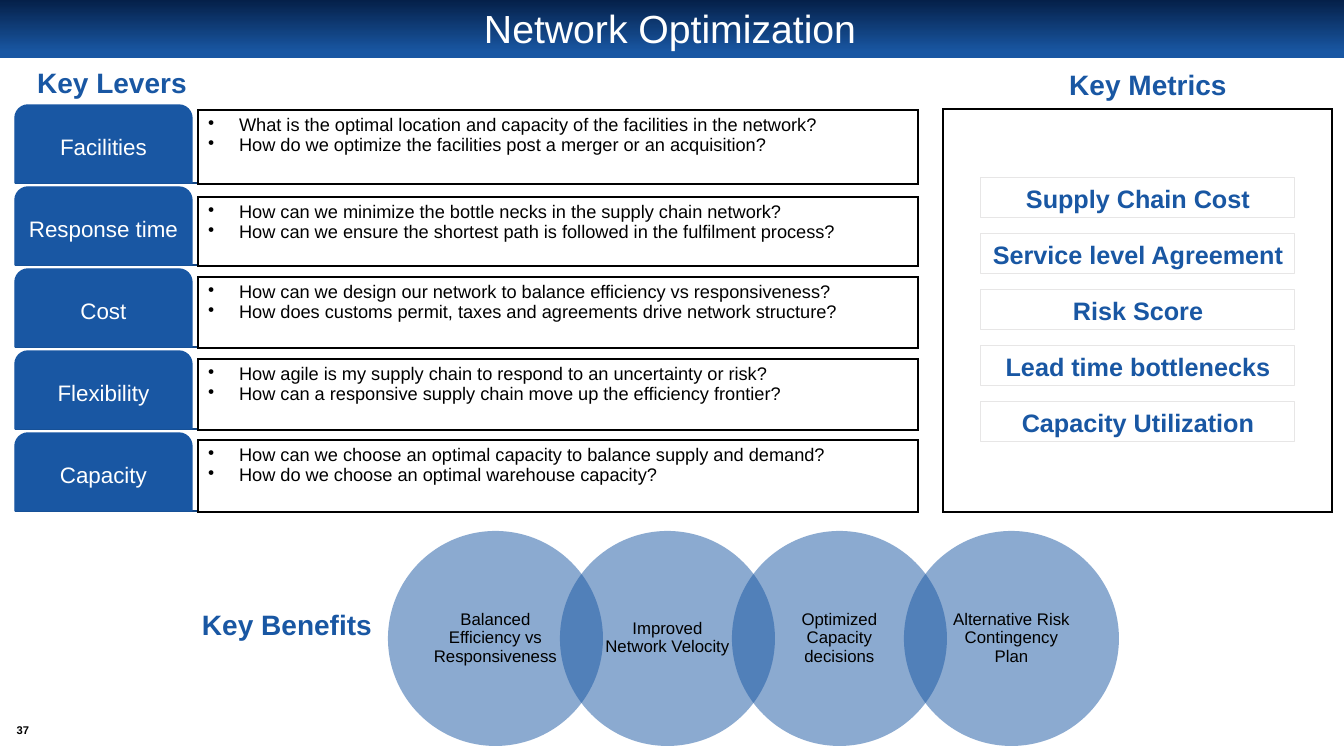
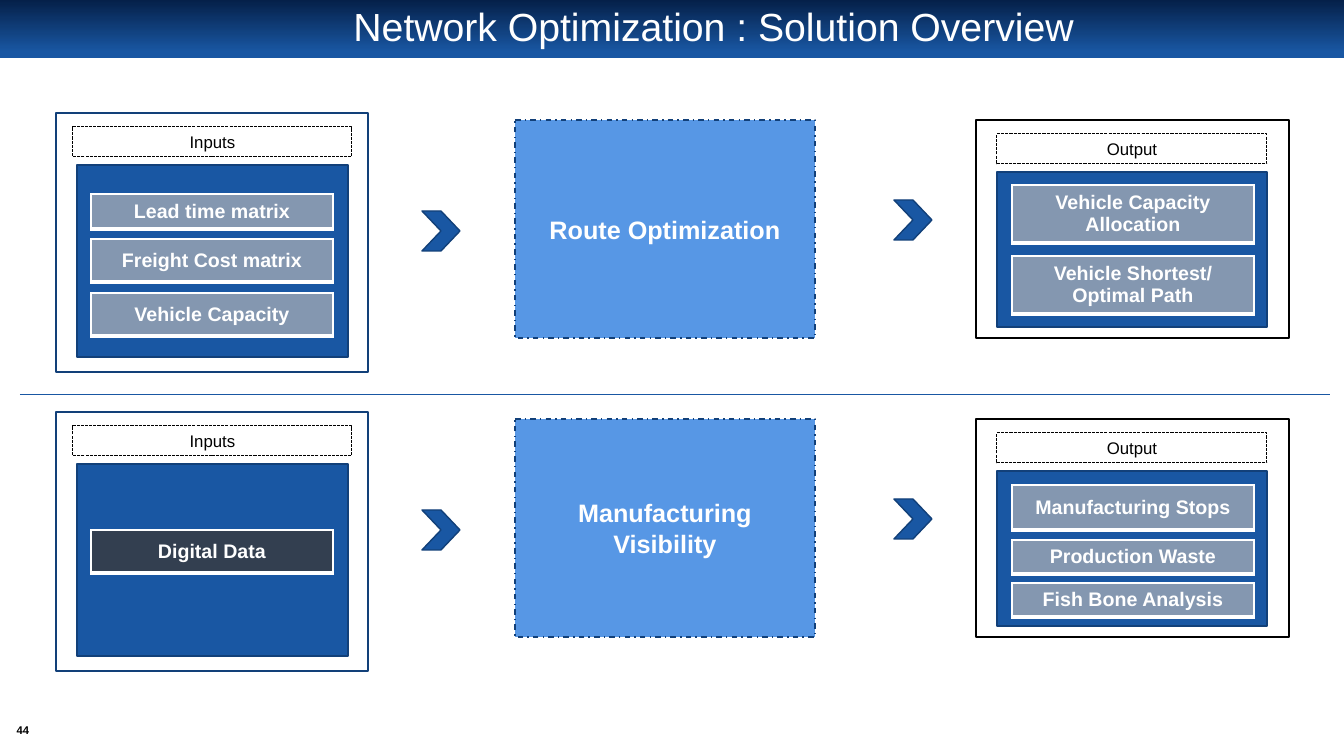
from lxml.etree import SubElement
from pptx import Presentation
from pptx.dml.color import RGBColor
from pptx.enum.dml import MSO_LINE
from pptx.enum.shapes import MSO_CONNECTOR, MSO_SHAPE as Preset
from pptx.enum.text import MSO_ANCHOR as Anchor, MSO_AUTO_SIZE, PP_ALIGN as Align
from pptx.oxml.ns import qn
from pptx.util import Emu, Pt

# Shared style
PX = 914400 / 100.8
WIDTH, HEIGHT = 1344, 756
FONT = "Arial"
COLORS = {
    "night": "052049", "blue": "1957A3", "edge": "124079", "rule": "144683",
    "sky": "5797E5", "steel": "8497B0", "slate": "333F50", "pale": "E7E6E6",
    "white": "FFFFFF", "black": "000000",
}

# Slide 1 content
LEVERS = [  # name, height of the question box, questions
    ("Facilities", 74, [
        "What is the optimal location and capacity of the facilities in the network?",
        "How do we optimize the facilities post a merger or an acquisition?"]),
    ("Response time", 69, [
        "How can we minimize the bottle necks in the supply chain network?",
        "How can we ensure the shortest path is followed in the fulfilment process?"]),
    ("Cost", 71, [
        "How can we design our network to balance efficiency vs responsiveness?",
        "How does customs permit, taxes and agreements drive network structure?"]),
    ("Flexibility", 71, [
        "How agile is my supply chain to respond to an uncertainty or risk?",
        "How can a responsive supply chain move up the efficiency frontier?"]),
    ("Capacity", 72, [
        "How can we choose an optimal capacity to balance supply and demand?",
        "How do we choose an optimal warehouse capacity?"]),
]
METRICS = ["Supply Chain Cost", "Service level Agreement", "Risk Score",
           "Lead time bottlenecks", "Capacity Utilization"]
BENEFITS = ["Balanced Efficiency vs Responsiveness", "Improved Network Velocity",
            "Optimized Capacity decisions", "Alternative Risk Contingency Plan"]
HEADINGS = [
    ("Key Levers", (27, 61, 170, 44)),
    ("Key Metrics", (1059, 63, 178, 44)),
    ("Key Benefits", (191, 603, 192, 44)),
]

# Slide 2 content: items are (text, top within the flow, height, fill)
FLOWS = [
    {"process": "Route Optimization",
     "inputs": [("Lead time matrix", 194, 35, "steel"),
                ("Freight Cost matrix", 239, 43, "steel"),
                ("Vehicle Capacity", 293, 43, "steel")],
     "outputs": [("Vehicle Capacity Allocation", 185, 58, "steel"),
                 ("Vehicle Shortest/\nOptimal Path", 256, 58, "steel")]},
    {"process": "Manufacturing Visibility",
     "inputs": [("Digital Data", 231, 43, "slate")],
     "outputs": [("Manufacturing Stops", 186, 45, "steel"),
                 ("Production Waste", 241, 33, "steel"),
                 ("Fish Bone Analysis", 284, 33, "steel")]},
]
FLOW_PITCH = 299


def px(value):
    return Emu(round(value * PX))


def rgb(name):
    return RGBColor.from_string(COLORS[name])


def write(frame, text, size, color, bold=False, align=Align.CENTER, spacing=None,
          bullets=False):
    """Fill a text frame and format every run in it."""
    frame.text = text
    for paragraph in frame.paragraphs:
        paragraph.alignment = align
        if spacing:
            paragraph.line_spacing = spacing
        if bullets:
            properties = paragraph._p.get_or_add_pPr()
            properties.set("marL", str(px(31)))
            properties.set("indent", str(-px(31)))
            SubElement(properties, qn("a:buChar")).set("char", "•")
        for run in paragraph.runs:
            font = run.font
            font.name, font.size, font.bold = FONT, Pt(size), bold
            font.color.rgb = rgb(color)


def set_insets(frame, left, top, right, bottom):
    frame.margin_left, frame.margin_top = px(left), px(top)
    frame.margin_right, frame.margin_bottom = px(right), px(bottom)


def add_shape(slide, preset, box, fill=None, line=None, weight=1, dash=None):
    shape = slide.shapes.add_shape(preset, *map(px, box))
    shape.shadow.inherit = False
    if fill:
        shape.fill.solid()
        shape.fill.fore_color.rgb = rgb(fill)
    else:
        shape.fill.background()
    if line:
        shape.line.color.rgb = rgb(line)
        shape.line.width = Pt(weight)
        if dash:
            shape.line.dash_style = dash
    else:
        shape.line.fill.background()
    shape.text_frame.word_wrap = True
    shape.text_frame.vertical_anchor = Anchor.MIDDLE
    return shape


def add_text(slide, box, text, size, color):
    frame = slide.shapes.add_textbox(*map(px, box)).text_frame
    frame.word_wrap = False
    write(frame, text, size, color, bold=True)
    return frame


def add_rule(slide, left, right, y, color, weight):
    line = slide.shapes.add_connector(
        MSO_CONNECTOR.STRAIGHT, px(left), px(y), px(right), px(y))
    line.line.color.rgb = rgb(color)
    line.line.width = Pt(weight)
    SubElement(line._element.spPr, qn("a:effectLst"))


def add_cell(slide, box, fill, border, bottom_weight=1):
    """Add a one-cell table and return its cell."""
    table = slide.shapes.add_table(1, 1, *map(px, box)).table
    table.first_row = table.horz_banding = False
    cell = table.cell(0, 0)
    properties = cell._tc.get_or_add_tcPr()
    for side, weight in zip("LRTB", (1, 1, 1, bottom_weight)):
        edge = SubElement(properties, qn(f"a:ln{side}"))
        edge.set("w", str(Pt(weight)))
        paint = SubElement(edge, qn("a:solidFill"))
        SubElement(paint, qn("a:srgbClr")).set("val", COLORS[border])
    cell.fill.solid()
    cell.fill.fore_color.rgb = rgb(fill)
    return cell


def add_slide(presentation, title, title_box, number):
    """Add a slide with the gradient band, title and page number."""
    slide = presentation.slides.add_slide(presentation.slide_layouts[5])
    band = add_shape(slide, Preset.RECTANGLE, (0, 0, WIDTH, 58))
    band.fill.gradient()
    band.fill.gradient_angle = 270
    for stop, position, color in zip(
            band.fill.gradient_stops, (0, 0.9), ("night", "blue")):
        stop.position = position
        stop.color.rgb = rgb(color)
    slide.shapes._spTree.insert(2, band._element)

    holder = slide.shapes.title
    holder.left, holder.top, holder.width, holder.height = map(px, title_box)
    frame = holder.text_frame
    frame.auto_size = MSO_AUTO_SIZE.NONE
    frame.vertical_anchor = Anchor.MIDDLE
    write(frame, title, 28, "white", spacing=0.9)

    frame = add_text(slide, (8, 720, 30, 19), number, 8, "black")
    frame.vertical_anchor = Anchor.MIDDLE
    set_insets(frame, 0, 0, 0, 0)
    return slide


def build_levers(slide):
    for text, box in HEADINGS:
        add_text(slide, box, text, 20, "blue")

    # Lever tabs with their questions
    tab_height = 78
    for index, (name, height, questions) in enumerate(LEVERS):
        top = 105 + index * 82
        bottom = top + tab_height
        add_rule(slide, 15, 699, bottom, "rule", 1)
        tab = add_shape(slide, Preset.ROUND_2_SAME_RECTANGLE,
                        (15, top, 177, tab_height), "blue", "blue")
        set_insets(tab.text_frame, 3, 7, 3, 3)
        write(tab.text_frame, name, 16, "white", spacing=0.9)
        cell = add_cell(slide, (198, bottom + 1 - height, 720, height), "white", "black")
        write(cell.text_frame, "\n".join(questions), 13, "black",
              align=Align.LEFT, bullets=True)

    # Metrics panel
    add_cell(slide, (943, 109, 389, 403), "white", "black")
    for index, metric in enumerate(METRICS):
        box = add_shape(slide, Preset.RECTANGLE, (981, 178 + index * 56, 314, 40),
                        line="pale", weight=0.75)
        write(box.text_frame, metric, 18, "blue", bold=True)

    # Overlapping benefit circles
    for index, benefit in enumerate(BENEFITS):
        circle = add_shape(slide, Preset.OVAL, (388 + index * 172, 531, 215, 215), "blue")
        color = circle._element.spPr.find(".//" + qn("a:srgbClr"))
        SubElement(color, qn("a:alpha")).set("val", "50000")
        set_insets(circle.text_frame, 12, 2, 12, 2)
        write(circle.text_frame, benefit, 12, "black", spacing=0.9)


def add_group(slide, top, label, items, panel, panel_line, label_box, body, item_left):
    """Add a panel holding a label and a filled body of items."""
    def place(box):
        left, offset, width, height = box
        return left, top + offset, width, height

    add_shape(slide, Preset.RECTANGLE, place(panel), "white", panel_line)
    add_shape(slide, Preset.RECTANGLE, place(body), "blue", "edge")
    tag = add_shape(slide, Preset.RECTANGLE, place(label_box), line="black",
                    weight=0.75, dash=MSO_LINE.SQUARE_DOT)
    write(tag.text_frame, label, 12, "black")
    for text, offset, height, fill in items:
        cell = add_cell(slide, place((item_left, offset, 242, height)), fill, "white", 3)
        cell.vertical_anchor = Anchor.MIDDLE
        write(cell.text_frame, text, 14, "white", bold=True)


def build_flows(slide):
    for index, flow in enumerate(FLOWS):
        top = index * FLOW_PITCH
        add_group(slide, top, "Inputs", flow["inputs"], (56, 113, 312, 259), "edge",
                  (73, 127, 279, 30), (77, 165, 271, 192), 91)
        process = add_shape(slide, Preset.FLOWCHART_PROCESS, (515, top + 120, 300, 218),
                            "sky", "edge", dash=MSO_LINE.DASH_DOT)
        write(process.text_frame, flow["process"], 18, "white", bold=True)
        add_group(slide, top, "Output", flow["outputs"], (976, 120, 313, 218), "black",
                  (997, 134, 270, 30), (997, 172, 270, 155), 1012)
        for left, offset in ((422, 211), (894, 200)):
            add_shape(slide, Preset.CHEVRON, (left, top + offset, 38, 40), "blue", "edge")
    add_rule(slide, 20, 1330, 394, "blue", 0.5)


def main():
    presentation = Presentation()
    presentation.slide_width, presentation.slide_height = px(WIDTH), px(HEIGHT)
    build_levers(add_slide(presentation, "Network Optimization", (67, 8, 1206, 45), "37"))
    build_flows(add_slide(presentation, "Network Optimization : Solution Overview",
                          (190, 9, 1047, 39), "44"))
    presentation.save("out.pptx")


if __name__ == "__main__":
    main()
